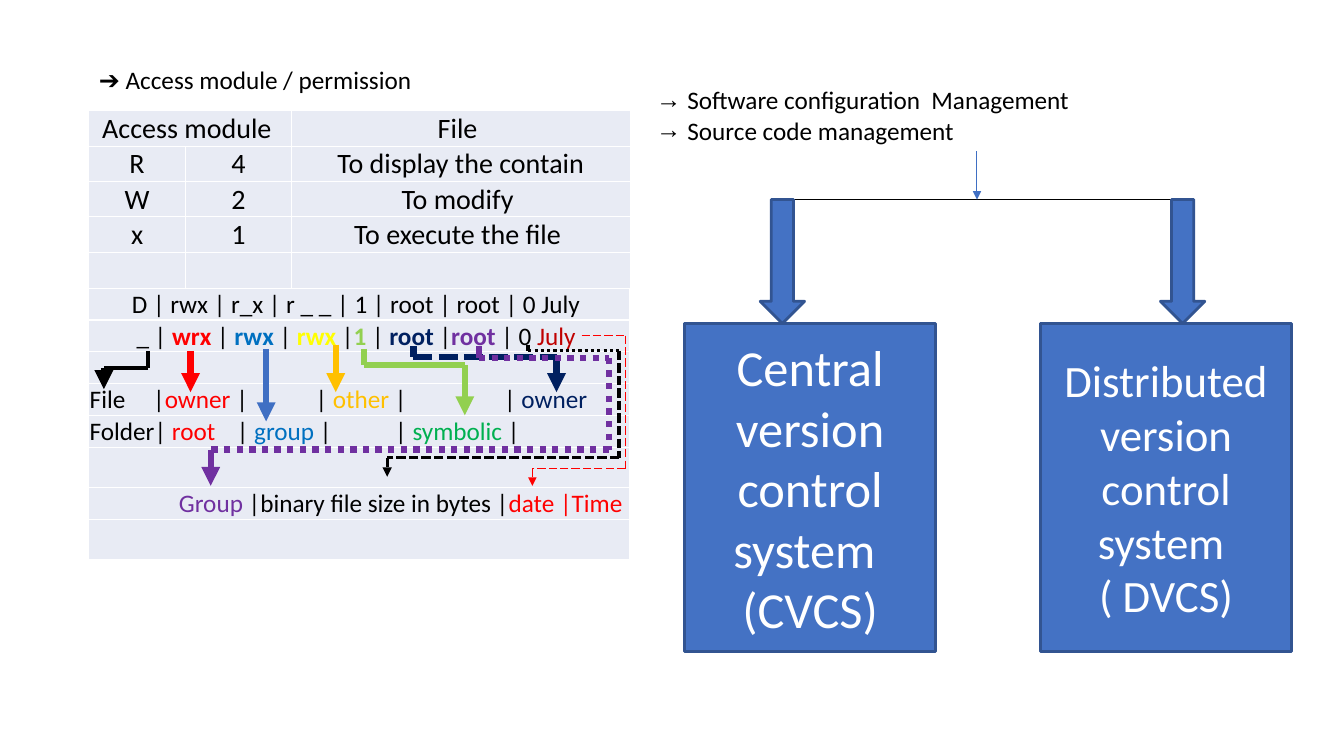
from lxml import etree
from pptx import Presentation
from pptx.dml.color import RGBColor
from pptx.enum.dml import MSO_LINE
from pptx.enum.shapes import MSO_CONNECTOR, MSO_SHAPE
from pptx.enum.text import MSO_ANCHOR, MSO_AUTO_SIZE, PP_ALIGN
from pptx.oxml.ns import qn
from pptx.util import Inches, Pt

LEFT, CENTER, RIGHT = PP_ALIGN.LEFT, PP_ALIGN.CENTER, PP_ALIGN.RIGHT
TOP, MIDDLE, BOTTOM = MSO_ANCHOR.TOP, MSO_ANCHOR.MIDDLE, MSO_ANCHOR.BOTTOM
RECT, DOWN_ARROW = MSO_SHAPE.RECTANGLE, MSO_SHAPE.DOWN_ARROW
STRAIGHT, NO_FIT = MSO_CONNECTOR.STRAIGHT, MSO_AUTO_SIZE.NONE
SOLID, DASH = MSO_LINE.SOLID, MSO_LINE.SQUARE_DOT
DOT, LONG = MSO_LINE.ROUND_DOT, MSO_LINE.LONG_DASH

BLACK, WHITE, RED, DARK_RED = "000000", "FFFFFF", "FF0000", "C00000"
BLUE, BORDER, LINE_BLUE, CELL = "4472C4", "325491", "3F6FC3", "E8EBF4"
SKY, YELLOW, GOLD, LIME = "0070C0", "FFFF00", "FFC000", "92D050"
GREEN, NAVY, PURPLE = "00B050", "002060", "7030A0"

ACCESS_ROWS = [
    ["Access module ", "", "File "],
    ["R", "4", "To display the contain"],
    ["W", "2", "To modify "],
    ["x", "1", "To execute the file "],
    ["", "", ""],
]
LISTING_ROWS = [
    (CENTER, [], [("D | rwx | r_x | r _ _ | 1 | root | root | 0 July ", BLACK)]),
    (CENTER, [], [
        ("_ | ", BLACK), ("wrx", RED, True), (" | ", BLACK), ("rwx", SKY, True),
        (" | ", BLACK), ("rwx", YELLOW, True), (" |", BLACK), ("1", LIME, True),
        (" | ", BLACK), ("root", NAVY, True), (" |", BLACK),
        ("root", PURPLE, True), (" | 0 ", BLACK), ("July ", DARK_RED)]),
    (LEFT, [], []),
    (LEFT, [0.63, 2.24, 4.11], [
        ("File\t|", BLACK), ("owner", RED), (" |\t| ", BLACK), ("other", GOLD),
        (" |\t| ", BLACK), ("owner", NAVY)]),
    (LEFT, [1.46, 3.03], [
        ("Folder| ", BLACK), ("root", RED), ("\t| ", BLACK), ("group", SKY),
        (" |\t| ", BLACK), ("symbolic", GREEN), (" |", BLACK)]),
    (LEFT, [], []),
    (RIGHT, [], [("Group", PURPLE), (" |binary file size in bytes |", BLACK),
                 ("date |Time ", RED)]),
    (LEFT, [], []),
]
ROUTES = [
    (BLACK, 3, [(1.47, 3.48), (1.47, 3.65), (1.03, 3.65)], [SOLID] * 2, False),
    (BLACK, 4.5, [(1.03, 3.65), (1.03, 3.86)], [SOLID], True),
    (RED, 4.5, [(1.89, 3.48), (1.89, 3.89)], [SOLID], True),
    (LINE_BLUE, 4.5, [(2.64, 3.46), (2.64, 4.18)], [SOLID], True),
    (GOLD, 4.5, [(3.33, 3.42), (3.33, 3.89)], [SOLID], True),
    (LIME, 4.5, [(3.61, 3.46), (3.61, 3.62), (4.61, 3.62), (4.61, 4.12)],
     [SOLID] * 3, True),
    (NAVY, 4.5, [(4.1, 3.43), (4.1, 3.54), (5.52, 3.54), (5.52, 3.89)],
     [SOLID, DASH, SOLID], True),
    (PURPLE, 4.5, [(4.75, 3.43), (4.75, 3.55), (6.04, 3.55), (6.04, 4.46),
                   (2.09, 4.46), (2.09, 4.82)],
     [SOLID, DOT, DOT, DOT, SOLID], True),
    (BLACK, 3, [(5.24, 3.42), (5.24, 3.48)], [SOLID], False),
    (BLACK, 2.25, [(5.24, 3.48), (6.14, 3.48), (6.14, 4.54), (3.84, 4.54),
                   (3.84, 4.73)], [DOT, DASH, DASH, DASH], True),
    (RED, 0.75, [(5.77, 3.33), (6.2, 3.33), (6.2, 4.65), (5.28, 4.65),
                 (5.28, 4.82)], [LONG] * 4, True),
]
SYSTEMS = [
    (6.79, 7.54, 36, ["Central version control system ", "(CVCS)"]),
    (10.32, 11.51, 32, ["Distributed version control system ", "( DVCS)"]),
]


def rgb(value):
    """Turn a hex string into a colour."""
    return RGBColor.from_string(value)


def box(x, y, w, h):
    """Return a position and size in inches."""
    return [Inches(v) for v in (x, y, w, h)]


def apply(target, values):
    """Set each attribute named in values on target."""
    for name, value in values.items():
        setattr(target, name, value)


def add_run(p, text, size, color=BLACK, bold=False, font="Calibri"):
    """Add one formatted run to a paragraph."""
    r = p.add_run()
    r.text = text
    apply(r.font, {"size": Pt(size), "name": font, "bold": bold})
    r.font.color.rgb = rgb(color)


def add_title(slide):
    """Place the heading in the title placeholder."""
    sp = slide.shapes.title
    apply(sp, dict(zip(("left", "top", "width", "height"), box(0.88, 0.59, 10.95, 0.4))))
    tf = sp.text_frame
    apply(tf, {"auto_size": NO_FIT, "vertical_anchor": TOP, "word_wrap": True})
    p = tf.paragraphs[0]
    apply(p, {"alignment": LEFT, "line_spacing": 1.0})
    add_run(p, "\u2794", 18, font="Arial")
    add_run(p, " Access module / permission", 18)


def add_bullets(slide, lines):
    """Add a text box whose paragraphs have arrow bullets."""
    tf = slide.shapes.add_textbox(*box(6.41, 0.79, 6.56, 0.7)).text_frame
    tf.word_wrap = True
    for i, line in enumerate(lines):
        p = tf.add_paragraph() if i else tf.paragraphs[0]
        add_run(p, line, 18)
        pPr = p._p.get_or_add_pPr()
        pPr.set("marL", str(Inches(0.31)))
        pPr.set("indent", str(-Inches(0.31)))
        etree.SubElement(pPr, qn("a:buFont")).set("typeface", "Arial")
        etree.SubElement(pPr, qn("a:buChar")).set("char", "\u2192")


def style_cell(cell):
    """Give a cell its margins, white borders and fill."""
    apply(cell, {"margin_left": Inches(0.01), "margin_right": Inches(0.01),
                 "margin_top": Inches(0.01), "margin_bottom": 0,
                 "vertical_anchor": BOTTOM})
    tcPr = cell._tc.get_or_add_tcPr()
    for side in ("lnL", "lnR", "lnT", "lnB"):
        ln = etree.SubElement(tcPr, qn("a:" + side), w=str(Pt(0.96)))
        fill = etree.SubElement(ln, qn("a:solidFill"))
        etree.SubElement(fill, qn("a:srgbClr")).set("val", WHITE)
    cell.fill.solid()
    cell.fill.fore_color.rgb = rgb(CELL)


def add_grid(slide, x, y, widths, heights):
    """Add a styled table and return it."""
    frame = slide.shapes.add_table(len(heights), len(widths),
                                   *box(x, y, sum(widths), sum(heights)))
    table = frame.table
    for column, width in zip(table.columns, widths):
        column.width = Inches(width)
    for row, height in zip(table.rows, heights):
        row.height = Inches(height)
        for cell in row.cells:
            style_cell(cell)
    return table


def fill_access(table):
    """Write the permission values."""
    table.cell(0, 0).merge(table.cell(0, 1))
    for i, row in enumerate(ACCESS_ROWS):
        for j, text in enumerate(row):
            if text:
                p = table.cell(i, j).text_frame.paragraphs[0]
                p.alignment = CENTER
                add_run(p, text, 20)


def fill_listing(table):
    """Write the coloured file listing with its tab stops."""
    for i, (align, stops, runs) in enumerate(LISTING_ROWS):
        p = table.cell(i, 0).text_frame.paragraphs[0]
        p.alignment = align
        if stops:
            tabs = etree.SubElement(p._p.get_or_add_pPr(), qn("a:tabLst"))
            for stop in stops:
                etree.SubElement(tabs, qn("a:tab"), pos=str(Inches(stop)), algn="l")
        for text, *style in runs:
            add_run(p, text, 18, *style)


def add_route(slide, color, width, points, dashes, arrow):
    """Join points with straight lines, the last with an optional arrowhead."""
    for start, end, dash in zip(points, points[1:], dashes):
        line = slide.shapes.add_connector(STRAIGHT, *box(*start, *end))
        apply(line.line, {"width": Pt(width), "dash_style": dash})
        line.line.color.rgb = rgb(color)
        etree.SubElement(line._element.spPr, qn("a:effectLst"))
    if arrow:
        etree.SubElement(line.line._get_or_add_ln(), qn("a:tailEnd"), type="triangle")


def add_block(slide, kind, place, size=18, lines=()):
    """Add a blue shape with centred white lines of text."""
    sp = slide.shapes.add_shape(kind, *box(*place))
    sp.shadow.inherit = False
    sp.fill.solid()
    sp.fill.fore_color.rgb = rgb(BLUE)
    sp.line.color.rgb = rgb(BORDER)
    sp.line.width = Pt(2)
    tf = sp.text_frame
    apply(tf, {"word_wrap": True, "vertical_anchor": MIDDLE})
    for i, line in enumerate(lines):
        p = tf.add_paragraph() if i else tf.paragraphs[0]
        p.alignment = CENTER
        add_run(p, line, size, WHITE)


def main():
    """Build the slide and save it."""
    prs = Presentation()
    prs.slide_width, prs.slide_height = Inches(13.33), Inches(7.5)
    slide = prs.slides.add_slide(prs.slide_layouts[5])
    add_title(slide)
    fill_access(add_grid(slide, 0.88, 1.1, [0.96, 1.05, 3.36], [0.34] * 4 + [0.38]))
    fill_listing(add_grid(slide, 0.88, 2.86, [5.36], [0.31] * 5 + [0.4, 0.31, 0.4]))
    for route in ROUTES:
        add_route(slide, *route)
    add_bullets(slide, ["Software configuration  Management", "Source code management"])
    add_route(slide, BLACK, 0.75, [(7.65, 1.98), (11.73, 1.98)], [SOLID], False)
    for left, arrow_left, size, lines in SYSTEMS:
        add_block(slide, RECT, (left, 3.21, 2.49, 3.25), size, lines)
        add_block(slide, DOWN_ARROW, (arrow_left, 1.98, 0.44, 1.23))
    add_route(slide, LINE_BLUE, 0.75, [(9.69, 1.5), (9.69, 1.98)], [SOLID], True)
    prs.save("out.pptx")


main()
